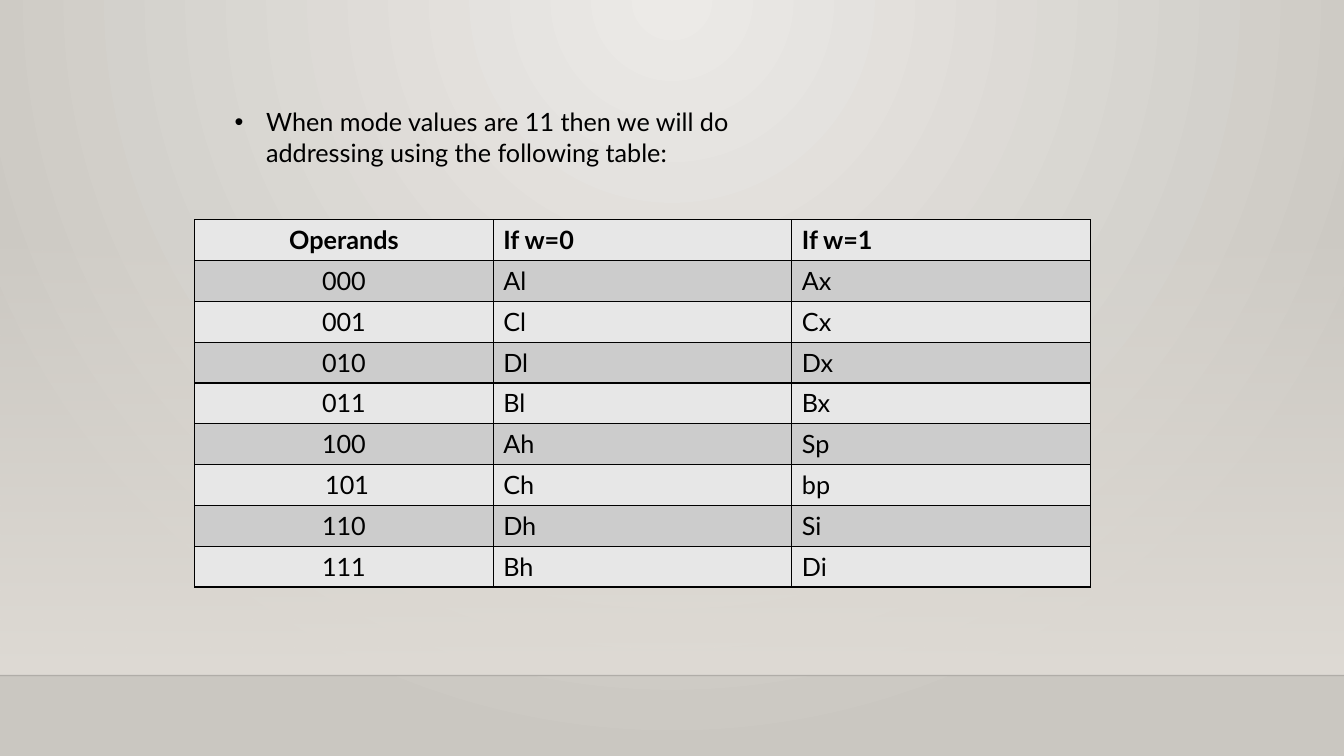
import pptx
import pptx.dml.color
import pptx.enum.shapes
import pptx.enum.text
import pptx.oxml
import pptx.oxml.ns
import pptx.util

Pt = pptx.util.Pt
qn = pptx.oxml.ns.qn
FONT = "Lato"
BLACK = "000000"
NAMESPACE = pptx.oxml.ns.nsdecls("a")


def color(hex_string):
    return pptx.dml.color.RGBColor.from_string(hex_string)


def add_text(paragraph, text, bold=False):
    run = paragraph.add_run()
    run.text = text
    run.font.name = FONT
    run.font.size = Pt(18)
    run.font.bold = bold
    run.font.color.rgb = color(BLACK)


presentation = pptx.Presentation()
presentation.slide_width = Pt(960)
presentation.slide_height = Pt(540)
slide = presentation.slides.add_slide(presentation.slide_layouts[6])

# Background: light spot at the top centre
background_fill = slide.background.fill
background_fill.gradient()
for stop, stop_color in zip(background_fill.gradient_stops, ("ECEAE7", "CAC7C1")):
    stop.color.rgb = color(stop_color)
    stop.position = 0 if stop_color == "ECEAE7" else 1
gradient = slide.background._cSld.find(".//" + qn("a:gradFill"))
linear = gradient.find(qn("a:lin"))
gradient.replace(linear, pptx.oxml.parse_xml(
    f'<a:path {NAMESPACE} path="circle">'
    '<a:fillToRect l="43000" t="0" r="43000" b="100000"/></a:path>'))

# Wall: fades in from top to bottom
wall = slide.shapes.add_shape(
    pptx.enum.shapes.MSO_SHAPE.RECTANGLE, Pt(0), Pt(159), Pt(960), Pt(323.5))
wall.shadow.inherit = False
wall.line.fill.background()
wall.fill.gradient()
wall.fill.gradient_angle = 270
for position, stop in enumerate(wall.fill.gradient_stops):
    stop.color.rgb = color("DFDBD5")
    stop.position = position
first_stop_color = wall._element.spPr.find(".//" + qn("a:srgbClr"))
first_stop_color.append(pptx.oxml.parse_xml(f'<a:alpha {NAMESPACE} val="0"/>'))

# Floor line
floor_line = slide.shapes.add_connector(
    pptx.enum.shapes.MSO_CONNECTOR.STRAIGHT, Pt(0), Pt(482.5), Pt(960), Pt(482.5))
floor_line.line.width = Pt(1)
floor_line.line.color.rgb = color(BLACK)
line_properties = floor_line._element.spPr
line_properties.find(".//" + qn("a:srgbClr")).append(
    pptx.oxml.parse_xml(f'<a:alpha {NAMESPACE} val="20000"/>'))
line_properties.append(pptx.oxml.parse_xml(f"<a:effectLst {NAMESPACE}/>"))

# Register table
register_rows = [
    ("Operands", "If w=0", "If w=1"),
    ("000", "Al", "Ax"),
    ("001", "Cl", "Cx"),
    ("010", "Dl", "Dx"),
    ("011", "Bl", "Bx"),
    ("100", "Ah", "Sp"),
    (" 101", "Ch", "bp"),
    ("110", "Dh", "Si"),
    ("111", "Bh", "Di"),
]
row_height = 29.15
table = slide.shapes.add_table(
    len(register_rows), 3, Pt(139), Pt(157), Pt(640),
    Pt(row_height * len(register_rows))).table
for column in table.columns:
    column.width = Pt(640 / 3)
for row_index, row_texts in enumerate(register_rows):
    table.rows[row_index].height = Pt(row_height)
    for column_index, text in enumerate(row_texts):
        cell = table.cell(row_index, column_index)
        paragraph = cell.text_frame.paragraphs[0]
        if column_index == 0:
            paragraph.alignment = pptx.enum.text.PP_ALIGN.CENTER
        add_text(paragraph, text, bold=row_index == 0)
        cell_properties = cell._tc.get_or_add_tcPr()
        for side in ("lnL", "lnR", "lnT", "lnB"):
            cell_properties.append(pptx.oxml.parse_xml(
                f'<a:{side} {NAMESPACE} w="{Pt(1)}"><a:solidFill>'
                f'<a:srgbClr val="{BLACK}"/></a:solidFill></a:{side}>'))
        cell.fill.solid()
        cell.fill.fore_color.rgb = color("CCCCCC" if row_index % 2 else "E7E7E7")

# Introductory bullet
intro = slide.shapes.add_textbox(Pt(160.5), Pt(72.7), Pt(404.5), Pt(51))
intro.text_frame.word_wrap = True
paragraph = intro.text_frame.paragraphs[0]
add_text(paragraph, "When mode values are 11 then we will do "
                    "addressing using the following table:")
paragraph_properties = paragraph._p.get_or_add_pPr()
paragraph_properties.set("marL", str(Pt(22.5)))
paragraph_properties.set("indent", str(Pt(-22.5)))
paragraph_properties.append(pptx.oxml.parse_xml(
    f'<a:buFont {NAMESPACE} typeface="Arial"/>'))
paragraph_properties.append(pptx.oxml.parse_xml(
    f'<a:buChar {NAMESPACE} char="\u2022"/>'))

presentation.save("out.pptx")
